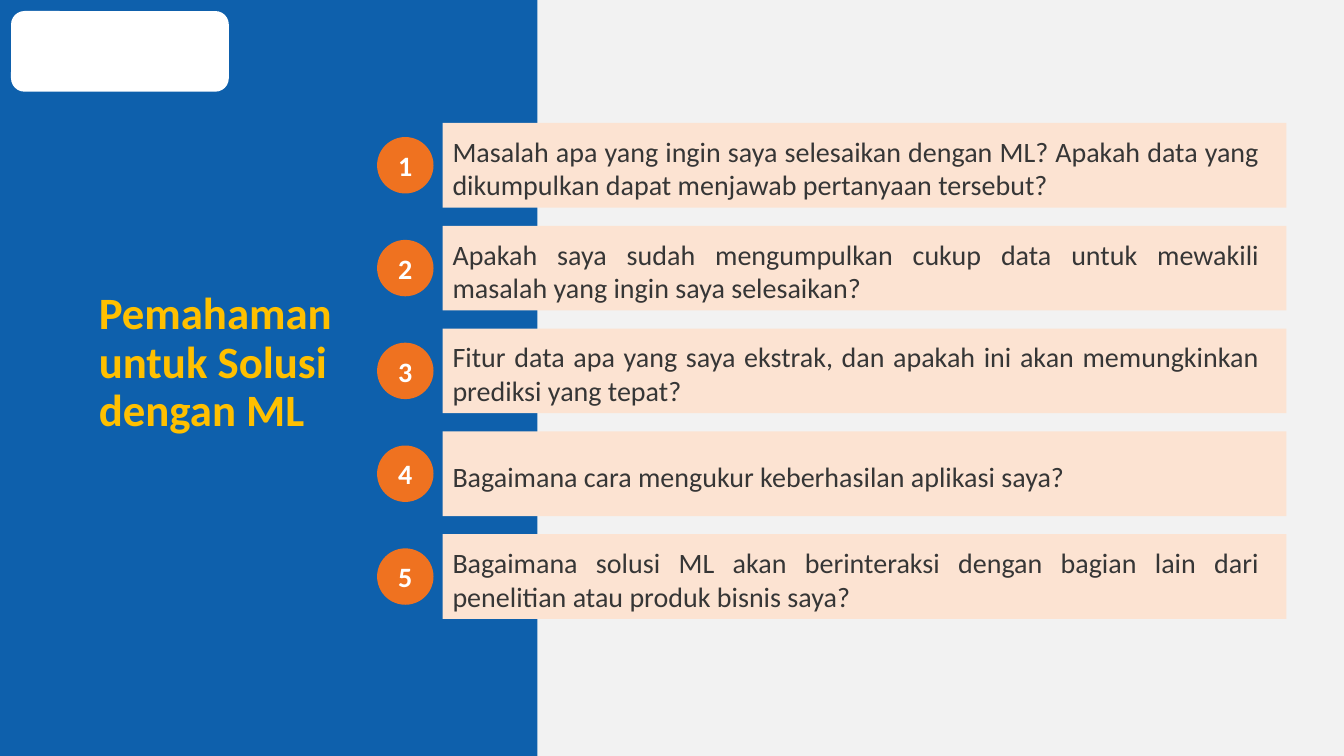
from dataclasses import dataclass
from typing import Any

from pptx import Presentation
from pptx.dml.color import RGBColor
from pptx.enum.shapes import MSO_SHAPE
from pptx.enum.text import MSO_ANCHOR, MSO_AUTO_SIZE, PP_ALIGN
from pptx.util import Inches, Pt

RECT, ROUND, OVAL = MSO_SHAPE.RECTANGLE, MSO_SHAPE.ROUNDED_RECTANGLE, MSO_SHAPE.OVAL
MIDDLE, BOTTOM = MSO_ANCHOR.MIDDLE, MSO_ANCHOR.BOTTOM
LEFT, CENTER, JUSTIFY = PP_ALIGN.LEFT, PP_ALIGN.CENTER, PP_ALIGN.JUSTIFY
FIXED = MSO_AUTO_SIZE.NONE


@dataclass(frozen=True)
class Theme:
    font: str = "Calibri"
    gray: str = "F2F2F2"
    blue: str = "0E60AC"
    white: str = "FFFFFF"
    gold: str = "FFC000"
    peach: str = "FCE3D2"
    orange: str = "EF7220"
    ink: str = "363636"
    head: int = 32
    body: int = 20


@dataclass(frozen=True)
class Box:
    left: float
    top: float
    width: float
    height: float
    fill: str
    kind: Any = RECT


THEME = Theme()
TITLE = "Pemahaman untuk Solusi dengan ML"
ITEMS = (
    "Masalah apa yang ingin saya selesaikan dengan ML? Apakah data yang dikumpulkan dapat menjawab pertanyaan tersebut?",
    "Apakah saya sudah mengumpulkan cukup data untuk mewakili masalah yang ingin saya selesaikan?",
    "Fitur data apa yang saya ekstrak, dan apakah ini akan memungkinkan prediksi yang tepat?",
    "Bagaimana cara mengukur keberhasilan aplikasi saya?",
    "Bagaimana solusi ML akan berinteraksi dengan bagian lain dari penelitian atau produk bisnis saya?",
)
PANELS = (
    Box(0, 0, 13.33, 7.5, THEME.gray),
    Box(0, 0, 5.33, 7.5, THEME.blue),
    Box(0.11, 0.11, 2.16, 0.8, THEME.white, ROUND),
)
FIRST, PITCH = 1.22, 1.02
BAR, DOT = 0.84, 0.56


def assign(target: Any, values: dict[str, Any]) -> None:
    for name, value in values.items():
        setattr(target, name, value)


def draw(slide: Any, box: Box) -> Any:
    sides = (box.left, box.top, box.width, box.height)
    shape = slide.shapes.add_shape(box.kind, *map(Inches, sides))
    shape.shadow.inherit = False
    shape.fill.solid()
    shape.fill.fore_color.rgb = RGBColor.from_string(box.fill)
    shape.line.fill.background()
    return shape


def write(shape: Any, text: str, size: int, color: str, bold: bool,
          frame: dict[str, Any], para: dict[str, Any]) -> None:
    body = shape.text_frame
    body.text = text
    assign(body, {"word_wrap": True, "auto_size": FIXED} | frame)
    line = body.paragraphs[0]
    assign(line, para)
    font = line.runs[0].font
    assign(font, {"name": THEME.font, "size": Pt(size), "bold": bold})
    font.color.rgb = RGBColor.from_string(color)


def head(slide: Any) -> None:
    title = slide.shapes.title
    title.element.getparent().append(title.element)
    assign(title, {"left": Inches(0.88), "top": Inches(2.58),
                   "width": Inches(2.74), "height": Inches(1.8)})
    write(title, TITLE, THEME.head, THEME.gold, True,
          {"vertical_anchor": BOTTOM}, {"alignment": LEFT, "line_spacing": 0.9})


def row(slide: Any, index: int, text: str) -> None:
    top = FIRST + index * PITCH
    bar = draw(slide, Box(4.39, top, 8.37, BAR, THEME.peach))
    write(bar, text, THEME.body, THEME.ink, False,
          {"vertical_anchor": MIDDLE, "margin_top": Inches(0.1),
           "margin_right": Inches(0.27)},
          {"alignment": JUSTIFY})
    dot = draw(slide, Box(3.74, top + (BAR - DOT) / 2, DOT, DOT, THEME.orange, OVAL))
    write(dot, str(index + 1), THEME.body, THEME.white, True,
          {"vertical_anchor": MIDDLE, "margin_left": 0, "margin_right": 0},
          {"alignment": CENTER})


def main() -> None:
    deck = Presentation()
    assign(deck, {"slide_width": Inches(13.33), "slide_height": Inches(7.5)})
    slide = deck.slides.add_slide(deck.slide_layouts[5])
    for panel in PANELS:
        draw(slide, panel)
    head(slide)
    for index, text in enumerate(ITEMS):
        row(slide, index, text)
    deck.save("out.pptx")


if __name__ == "__main__":
    main()
